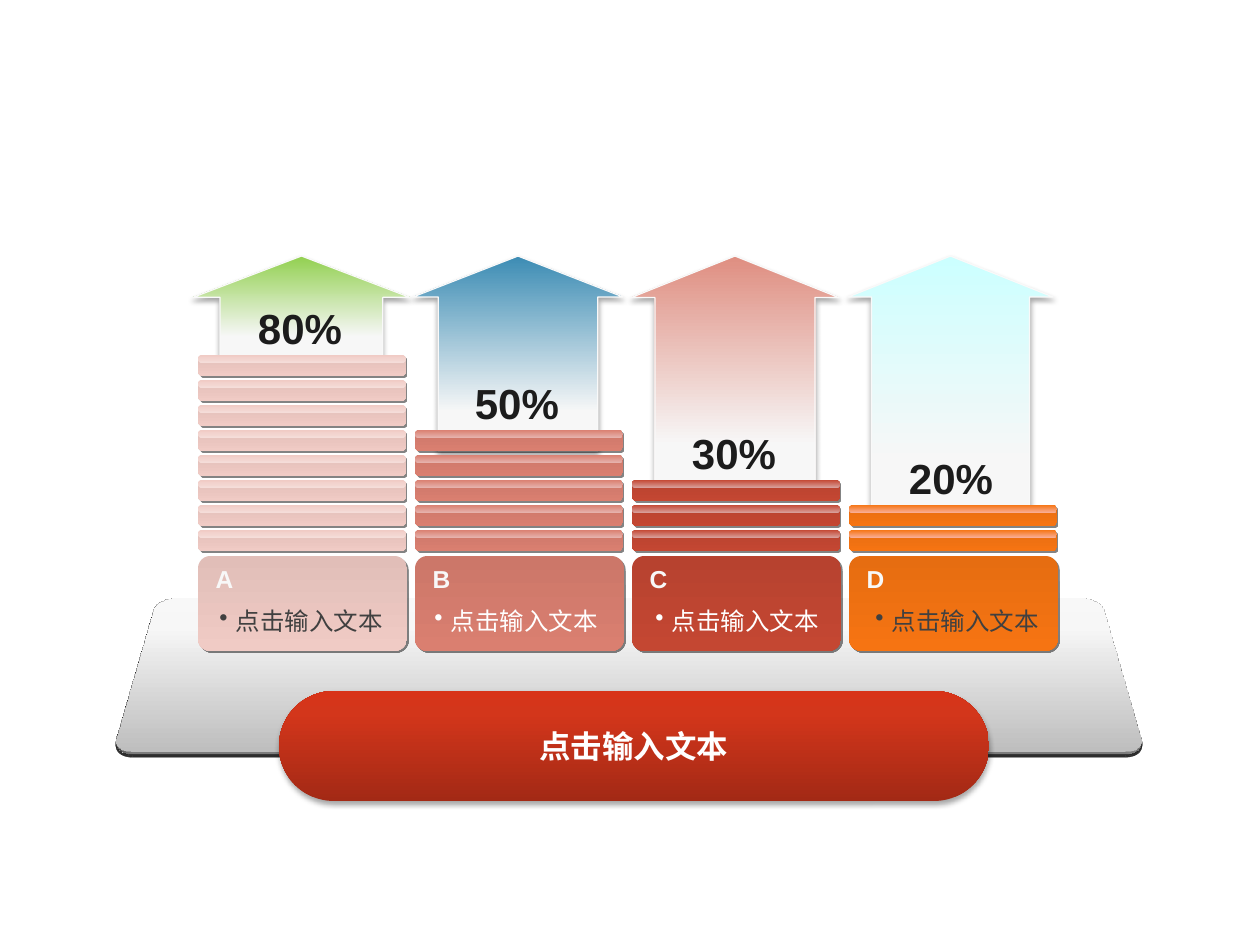
import pptx
import pptx.dml.color
import pptx.enum.shapes
import pptx.enum.text
import pptx.oxml
import pptx.oxml.ns
import pptx.util

EMU_PER_PX = 914400 / 126
SHAPE = pptx.enum.shapes.MSO_SHAPE
ALIGN = pptx.enum.text.PP_ALIGN
NAMESPACE = pptx.oxml.ns.nsdecls("a")

COLORS = {
    "white": "FFFFFF", "pale": "F8F8F8", "edge": "F9F9F9", "fade": "F7F7F7",
    "ink": "1C1C1C", "grey": "404040", "floor": "BEBEBE",
    "bar_dark": "A32915", "bar_mid": "D3361B", "bar_light": "D83318",
    "black": "000000", "shade": "080808",
}
# Shadow: colour, opacity %, blur pt, distance pt, angle
SOFT = ("black", 35, 3.1, 1.8, 90)
HARD = ("shade", 50, 0, 1.4, 45)
LETTER = ("black", 100, 0, 1.4, 45)


def emu(px):
    return pptx.util.Emu(round(px * EMU_PER_PX))


def rgb(color):
    return pptx.dml.color.RGBColor.from_string(COLORS.get(color, color))


def effects(shadow):
    color, opacity, blur, distance, angle = shadow
    return pptx.oxml.parse_xml(
        f'<a:effectLst {NAMESPACE}><a:outerShdw blurRad="{round(blur * 12700)}" '
        f'dist="{round(distance * 12700)}" dir="{angle * 60000}" algn="ctr" rotWithShape="0">'
        f'<a:srgbClr val="{COLORS[color]}"><a:alpha val="{opacity * 1000}"/></a:srgbClr>'
        f'</a:outerShdw></a:effectLst>')


def write(frame, text, size=14, color="white", bold=False, align=ALIGN.LEFT,
          bullet=False, shadow=None):
    para = frame.paragraphs[0]
    para.alignment = align
    if bullet:
        properties = para._p.get_or_add_pPr()
        indent = round(0.13 * 914400)
        properties.set("marL", str(indent))
        properties.set("indent", str(-indent))
        properties.append(pptx.oxml.parse_xml(f'<a:buChar {NAMESPACE} char="•"/>'))
    span = para.add_run()
    span.text = text
    span.font.size = pptx.util.Pt(size)
    span.font.bold = bold
    span.font.color.rgb = rgb(color)
    if shadow:
        span._r.get_or_add_rPr().append(effects(shadow))
    span.font.name = "Arial"


class Canvas:
    """Holds the style and the current slide."""

    def __init__(self, deck):
        self.page = deck.slides.add_slide(deck.slide_layouts[6])
        self.shapes = self.page.shapes

    def start_group(self):
        self.shapes = self.page.shapes.add_group_shape().shapes

    def shape(self, kind, place, adjust, stops, angle=90, line=None, shadow=None):
        item = self.shapes.add_shape(kind, *map(emu, place))
        for index, value in enumerate(adjust):
            item.adjustments[index] = value
        item.shadow.inherit = False
        item.fill.gradient()
        gradient = item._element.spPr.find(pptx.oxml.ns.qn("a:gradFill"))
        marks = "".join(
            f'<a:gs pos="{position * 1000}"><a:srgbClr val="{COLORS.get(color, color)}"/></a:gs>'
            for position, color in stops)
        gradient.getparent().replace(gradient, pptx.oxml.parse_xml(
            f'<a:gradFill {NAMESPACE} rotWithShape="1"><a:gsLst>{marks}</a:gsLst>'
            f'<a:lin ang="{angle * 60000}" scaled="0"/></a:gradFill>'))
        if line:
            item.line.color.rgb = rgb(line)
            item.line.width = pptx.util.Pt(0.75)
        else:
            item.line.fill.background()
        if shadow:
            empty = item._element.spPr.find(pptx.oxml.ns.qn("a:effectLst"))
            empty.getparent().replace(empty, effects(shadow))
        return item

    def floor(self, place, adjust, stops):
        item = self.shape(SHAPE.ROUNDED_RECTANGLE, place, adjust, stops, 270, "edge", SOFT)
        # Tilt the plate backwards and give it a thin front edge
        for part in (
                '<a:scene3d {}><a:camera prst="perspectiveRelaxed"/>'
                '<a:lightRig rig="threePt" dir="t"/></a:scene3d>',
                '<a:sp3d {} extrusionH="25400"/>'):
            item._element.spPr.append(pptx.oxml.parse_xml(part.format(NAMESPACE)))

    def text(self, place, text, **style):
        box = self.shapes.add_textbox(*map(emu, place))
        box.text_frame.word_wrap = True
        write(box.text_frame, text, **style)

    def slab(self, left, top, dark, main, light):
        self.shape(SHAPE.ROUNDED_RECTANGLE, (left, top, 208, 21), [0.21],
                   [(0, dark), (100, main)], shadow=HARD)
        self.shape(SHAPE.ROUNDED_RECTANGLE, (left, top, 208, 8), [0.5],
                   [(0, main), (100, light)])

    def column(self, left, letter, percent, arrow, tip, tones, caption):
        self.start_group()
        tops = [530 - 25 * step for step in range(percent // 10)]
        arrow_left, width, height, shaft, head = arrow
        caption_left, caption_color = caption
        # Arrow and its value
        self.shape(SHAPE.UP_ARROW, (arrow_left, 256, width, height), [shaft, head],
                   [(0, tip), (80, "fade"), (100, "pale")], line="edge", shadow=SOFT)
        self.text((left + 29, tops[-1] - 59, 146, 58), f"{percent}%", size=24,
                  color="ink", bold=True, align=ALIGN.CENTER)
        # Base block
        self.shape(SHAPE.ROUNDED_RECTANGLE, (left, 556, 209, 95), [0.13],
                   [(0, tones[0]), (100, tones[1])], shadow=HARD)
        self.text((left + 2, 558, 49, 39), letter, color="pale", bold=True,
                  align=ALIGN.CENTER, shadow=LETTER)
        self.text((caption_left, 600, 192, 43), "点击输入文本",
                  color=caption_color, bullet=True)
        # One slab for every ten percent
        for top in tops:
            self.slab(left, top, *tones)


# letter, percent, arrow (left, width, height, shaft, head), tip, tones, caption
COLUMNS = [
    ("A", 80, (193, 217, 101, 0.75, 0.41), "92D050",
     ("E1BEB8", "F0CBC5", "F5DDD9"), (207, "grey")),
    ("B", 50, (413, 210, 195, 0.76, 0.21), "3C8CB4",
     ("CC7769", "DA7F70", "E6B3AD"), (422, "white")),
    ("C", 30, (631, 208, 236, 0.77, 0.2), "DF8E81",
     ("B7422F", "C44732", "D8A09C"), (643, "white")),
    ("D", 20, (848, 205, 258, 0.77, 0.2), "CCFFFF",
     ("E66D11", "F67412", "F9AF99"), (863, "grey")),
]


def main():
    deck = pptx.Presentation()
    deck.slide_width, deck.slide_height = emu(1260), emu(945)
    canvas = Canvas(deck)

    # Floor plate and title bar
    canvas.floor((137, 552, 984, 239), [0.08],
                 [(0, "floor"), (80, "fade"), (100, "pale")])
    canvas.shape(SHAPE.ROUNDED_RECTANGLE, (279, 691, 710, 110), [0.5],
                 [(0, "bar_dark"), (80, "bar_mid"), (100, "bar_light")], 270, shadow=SOFT)
    canvas.text((299, 721, 670, 50), "点击输入文本", size=18, bold=True, align=ALIGN.CENTER)

    # Four columns at an even pitch
    for index, column in enumerate(COLUMNS):
        canvas.column(198 + 217 * index, *column)

    deck.save("out.pptx")


if __name__ == "__main__":
    main()
